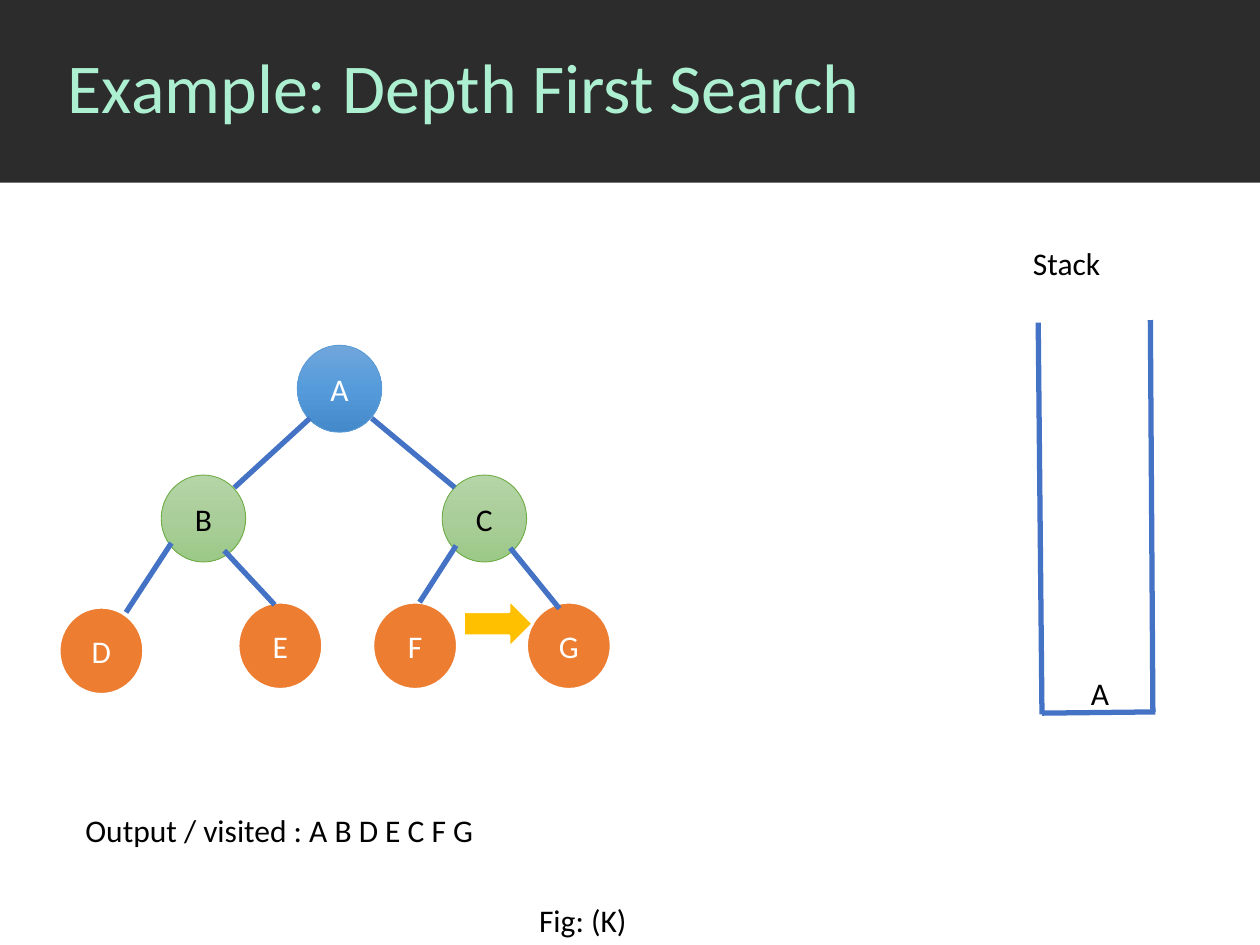
"""Build a slide that shows one step of a depth first search."""
from copy import deepcopy

from lxml import etree
from pptx import Presentation
from pptx.dml.color import RGBColor
from pptx.enum import shapes, text
from pptx.oxml import ns
from pptx.util import Inches, Pt

FONT = "Calibri"
COLORS = {
    "band": "2C2C2C", "title": "ADF0D1", "ink": "000000", "white": "FFFFFF",
    "line": "4472C4", "leaf": "ED7D31", "pointer": "FFC000",
    "root_edge": "5B9BD5", "branch_edge": "70AD47",
}
GRADIENTS = {
    "root": ["71A6DB", "559BDB", "448ACA"],
    "branch": ["B5D5A7", "AACE9A", "9CC987"],
}
STYLES = {
    "root": ("root_edge", 0.5, "white"),
    "branch": ("branch_edge", 0.5, "ink"),
    "leaf": ("white", 1.5, "white"),
}
NODES = [
    ("A", 2.36, 2.74, "root"),
    ("B", 1.28, 3.77, "branch"), ("C", 3.51, 3.77, "branch"),
    ("D", 0.47, 4.82, "leaf"), ("E", 1.89, 4.78, "leaf"),
    ("F", 2.96, 4.78, "leaf"), ("G", 4.18, 4.78, "leaf"),
]
TREE_EDGES = [
    (2.46, 3.32, 1.86, 3.87), (2.95, 3.32, 3.61, 3.87),
    (1.36, 4.31, 1, 4.86), (1.78, 4.37, 2.18, 4.8),
    (3.62, 4.33, 3.33, 4.78), (4.05, 4.35, 4.44, 4.83),
]
STACK_SIDES = [
    (8.24, 2.56, 8.27, 5.67), (9.13, 2.54, 9.15, 5.65),
    (8.27, 5.66, 9.17, 5.65),
]
LABELS = [
    ("Stack", 8.1, 1.89, 1.07),
    ("Output / visited : A B D E C F G", 0.58, 6.39, 3.86),
    ("A", 8.56, 5.3, 0.37),
    ("Fig: (K)", 4.18, 7.1, 1.15),
]


def color(name):
    """Return a named colour."""
    return RGBColor.from_string(COLORS[name])


def write(shape, words, size, ink):
    """Put one styled line of text in a shape."""
    para = shape.text_frame.paragraphs[0]
    para.text = words
    span = para.runs[0]
    span.font.name = FONT
    span.font.size = Pt(size)
    span.font.color.rgb = color(ink)
    return para


def add_label(slide, words, left, top, width, height=0.4, size=18, ink="ink"):
    """Add a wrapped text box."""
    box = slide.shapes.add_textbox(*map(Inches, (left, top, width, height)))
    box.text_frame.word_wrap = True
    write(box, words, size, ink)
    return box


def add_block(slide, kind, left, top, width, height, fill=None, edge=None, weight=1.5):
    """Add a preset shape without a shadow."""
    shape = slide.shapes.add_shape(kind, *map(Inches, (left, top, width, height)))
    shape.shadow.inherit = False
    if fill:
        shape.fill.solid()
        shape.fill.fore_color.rgb = color(fill)
    if edge:
        shape.line.color.rgb = color(edge)
        shape.line.width = Pt(weight)
    else:
        shape.line.fill.background()
    return shape


def fill_gradient(shape, hexes):
    """Fill a shape from top to bottom with three evenly spaced colours."""
    shape.fill.gradient()
    shape.fill.gradient_angle = 270
    first = shape._element.spPr.find(".//" + ns.qn("a:gs"))
    first.addnext(deepcopy(first))
    for index, (stop, value) in enumerate(zip(shape.fill.gradient_stops, hexes)):
        stop.position = index / 2
        stop.color.rgb = RGBColor.from_string(value)


def add_node(slide, name, left, top, style):
    """Add a tree node with its letter."""
    edge, weight, ink = STYLES[style]
    solid = None if style in GRADIENTS else style
    node = add_block(slide, shapes.MSO_SHAPE.OVAL, left, top, 0.67, 0.69,
                     solid, edge, weight)
    if style in GRADIENTS:
        fill_gradient(node, GRADIENTS[style])
    node.text_frame.vertical_anchor = text.MSO_ANCHOR.MIDDLE
    write(node, name, 18, ink).alignment = text.PP_ALIGN.CENTER


def add_line(slide, *ends):
    """Add a thick straight line."""
    line = slide.shapes.add_connector(shapes.MSO_CONNECTOR.STRAIGHT, *map(Inches, ends))
    line.line.color.rgb = color("line")
    line.line.width = Pt(3)
    etree.SubElement(line._element.spPr, ns.qn("a:effectLst"))


def add_title(slide, words):
    """Add the dark band and the title on it."""
    add_block(slide, shapes.MSO_SHAPE.RECTANGLE, 0, 0, 10, 1.45, "band")
    box = add_label(slide, words, 0.44, 0, 9.56, 1.44, 40, "title")
    box.text_frame.vertical_anchor = text.MSO_ANCHOR.MIDDLE
    box.text_frame.paragraphs[0].line_spacing = 0.9


def main():
    """Build and save the deck."""
    deck = Presentation()
    deck.slide_width, deck.slide_height = Inches(10), Inches(7.5)
    slide = deck.slides.add_slide(deck.slide_layouts[6])
    add_title(slide, "Example: Depth First Search")
    for node in NODES:
        add_node(slide, *node)
    for ends in TREE_EDGES + STACK_SIDES:
        add_line(slide, *ends)
    for label in LABELS:
        add_label(slide, *label)
    add_block(slide, shapes.MSO_SHAPE.RIGHT_ARROW, 3.68, 4.76, 0.55, 0.38,
              "pointer", "white")
    deck.save("out.pptx")


if __name__ == "__main__":
    main()
